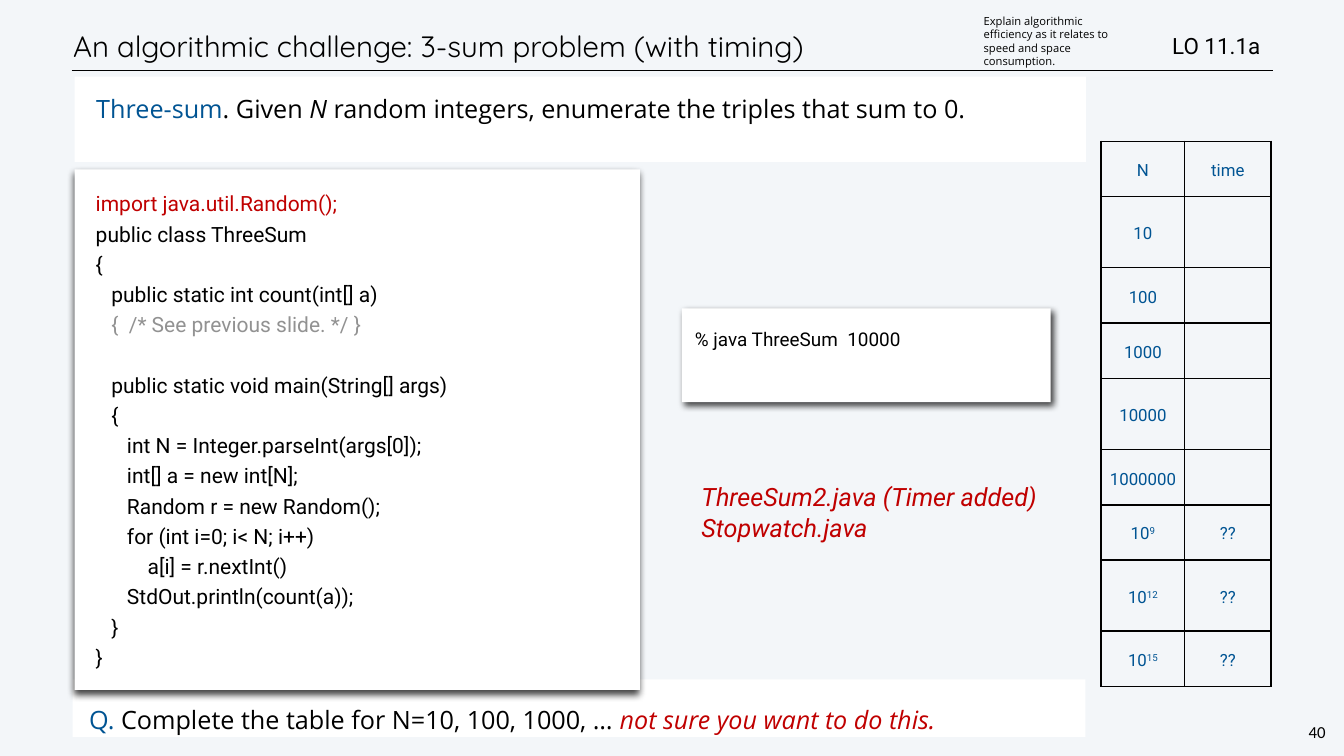
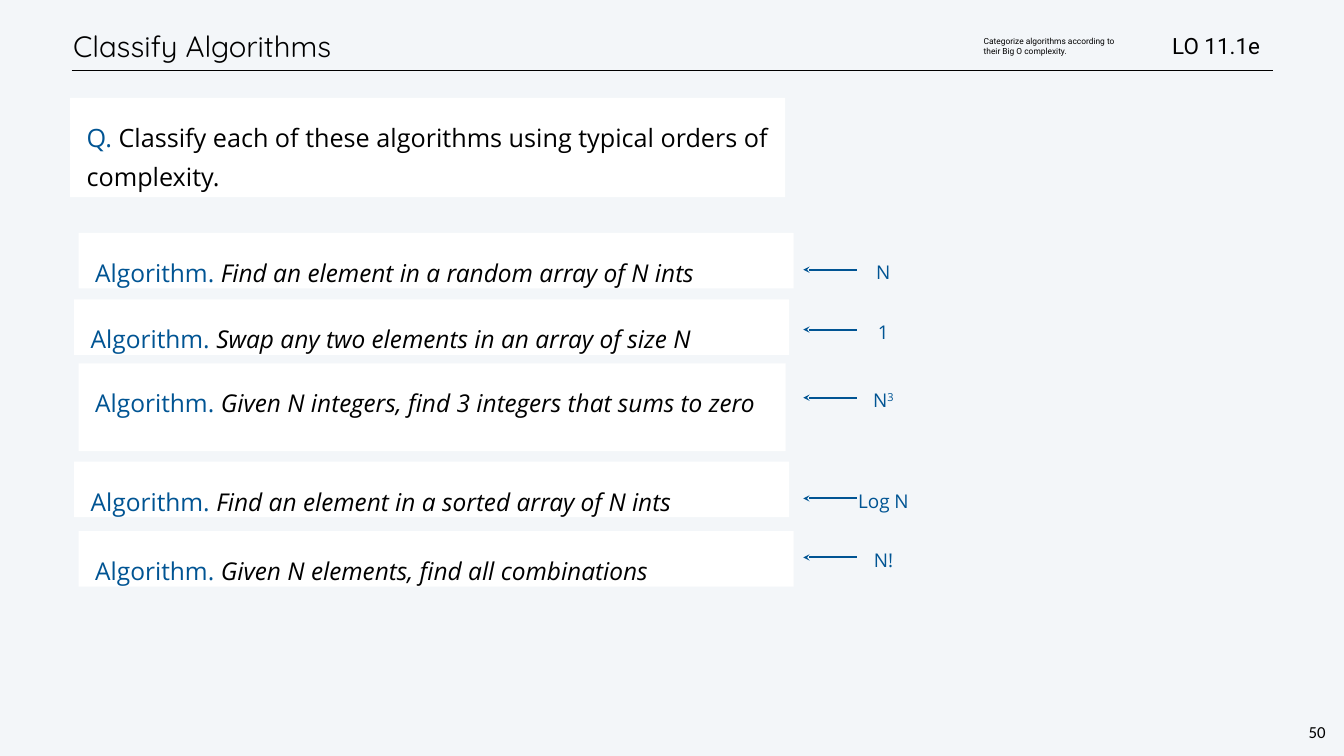
"""Build two computer science lesson slides on algorithmic efficiency."""
from dataclasses import dataclass
from typing import Any, NamedTuple, Optional

import lxml.etree
import pptx
import pptx.dml.color
import pptx.enum.shapes
import pptx.enum.text
import pptx.oxml
import pptx.oxml.ns
import pptx.util

EMU_PER_PX = 9144
COLOURS = {
    "page": "F3F6F9",
    "panel": "FFFFFF",
    "ink": "000000",
    "blue": "005493",
    "red": "C00000",
    "grey": "929292",
}
HEADING, PROSE, PLAIN, NUMBER = "Quicksand", "Open Sans", "Roboto", "Calibri"
ALIGN = pptx.enum.text.PP_ALIGN
ANCHOR = pptx.enum.text.MSO_ANCHOR
CODE_INDENT = 31
LABEL_CENTRE = 1748
LABEL_HEIGHT = 56


class Place(NamedTuple):
    left: int
    top: int
    width: int
    height: int


class Span(NamedTuple):
    text: str
    colour: str = "ink"
    italic: bool = False
    raised: bool = False


class Line(NamedTuple):
    spans: list[Span]
    indent: int = 0
    before: int = 0


class Shadow(NamedTuple):
    angle: int
    blur: int = 10
    distance: int = 6
    opacity: int = 75


@dataclass(frozen=True)
class Algorithm:
    place: Place
    task: str
    arrow_y: int
    label_width: int
    order: list[Span]


CODE = [
    Line([Span("import java.util.Random();", "red")]),
    Line([Span("public class ThreeSum")]),
    Line([Span("{")]),
    Line([Span("public static int count(int[] a)")], CODE_INDENT),
    Line([Span("{  /* See previous slide. */ }", "grey")], CODE_INDENT),
    Line([Span("public static void main(String[] args)")], CODE_INDENT, before=43),
    Line([Span("{")], CODE_INDENT),
    Line([Span("int N = Integer.parseInt(args[0]);")], 2 * CODE_INDENT),
    Line([Span("int[] a = new int[N];")], 2 * CODE_INDENT),
    Line([Span("Random r = new Random();")], 2 * CODE_INDENT),
    Line([Span("for (int i=0; i< N; i++)")], 2 * CODE_INDENT),
    Line([Span("a[i] = r.nextInt()")], 103),
    Line([Span("StdOut.println(count(a));")], 2 * CODE_INDENT),
    Line([Span("}")], CODE_INDENT),
    Line([Span("}")]),
]

TIMING_TABLES = [
    (280, [("N", "", "time"), ("10", "", ""), ("100", "", "")]),
    (641, [("1000", "", ""), ("10000", "", ""), ("1000000", "", "")]),
    (1001, [("10", "9", "??"), ("10", "12", "??"), ("10", "15", "??")]),
]

ALGORITHMS = [
    Algorithm(Place(156, 462, 1419, 110), "Find an element in a random array of N ints",
              535, 58, [Span("N", "blue")]),
    Algorithm(Place(147, 594, 1419, 110), "Swap any two elements in an array of size N",
              654, 53, [Span("1", "blue")]),
    Algorithm(Place(156, 721, 1403, 174), "Given N integers, find 3 integers that sums to zero",
              789, 73, [Span("N", "blue"), Span("3", "blue", raised=True)]),
    Algorithm(Place(147, 916, 1419, 110), "Find an element in a sorted array of N ints",
              989, 137, [Span("Log N", "blue")]),
    Algorithm(Place(156, 1054, 1419, 110), "Given N elements, find all combinations",
              1106, 69, [Span("N!", "blue")]),
]


def px(length: int) -> pptx.util.Emu:
    """Turn px into EMU."""
    return pptx.util.Emu(length * EMU_PER_PX)


def emu(place: Place) -> list[pptx.util.Emu]:
    """Turn a place into four EMU lengths."""
    return [px(length) for length in place]


def rgb(colour: str) -> pptx.dml.color.RGBColor:
    """Look up a named colour."""
    return pptx.dml.color.RGBColor.from_string(COLOURS[colour])


def child(parent: Any, tag: str, **attributes: Any) -> Any:
    """Append a DrawingML element."""
    values = {name: str(value) for name, value in attributes.items()}
    return lxml.etree.SubElement(parent, pptx.oxml.ns.qn(tag), values)


def write(frame: Any, lines: list[Line], *, size: int, font: str,
          align: Any = ALIGN.LEFT, spacing: Optional[float] = None,
          before: int = 0, margin: int = 0, first: int = 0) -> None:
    """Fill a text frame with formatted lines."""
    for index, line in enumerate(lines):
        para = frame.add_paragraph() if index else frame.paragraphs[0]
        para.alignment = align
        para.line_spacing = spacing
        para.space_before = pptx.util.Pt(before + line.before)
        properties = para._p.get_or_add_pPr()
        properties.set("marL", str(px(margin + line.indent)))
        properties.set("indent", str(px(first)))
        child(properties, "a:buNone")
        for span in line.spans:
            run = para.add_run()
            run.text = span.text
            run.font.name = font
            run.font.size = pptx.util.Pt(size)
            run.font.italic = span.italic
            run.font.color.rgb = rgb(span.colour)
            if span.raised:
                run._r.get_or_add_rPr().set("baseline", "30000")


def set_frame(frame: Any, *, inset: int, anchor: Any = ANCHOR.TOP,
              wrap: bool = True, grow: bool = False) -> Any:
    """Set the layout of a text frame and return it."""
    sizes = pptx.enum.text.MSO_AUTO_SIZE
    frame.auto_size = sizes.SHAPE_TO_FIT_TEXT if grow else sizes.NONE
    frame.word_wrap = wrap
    frame.vertical_anchor = anchor
    frame.margin_left = frame.margin_right = px(inset)
    frame.margin_top = frame.margin_bottom = px(inset)
    return frame


def move(shape: Any, place: Place) -> None:
    """Put a placeholder at a place."""
    shape.left, shape.top, shape.width, shape.height = emu(place)


def fill_panel(shape: Any) -> None:
    """Paint a shape with the panel colour."""
    shape.fill.solid()
    shape.fill.fore_color.rgb = rgb("panel")


def add_panel(page: Any, place: Place, lines: list[Line], *, inset: int = 33,
              shadow: Optional[Shadow] = None, **text: Any) -> None:
    """Add a white rectangle holding text."""
    box = page.shapes.add_shape(pptx.enum.shapes.MSO_SHAPE.RECTANGLE, *emu(place))
    box.shadow.inherit = False
    fill_panel(box)
    box.line.fill.background()
    if shadow:
        effects = box._element.spPr.find(pptx.oxml.ns.qn("a:effectLst"))
        outer = child(effects, "a:outerShdw", blurRad=pptx.util.Pt(shadow.blur),
                      dist=pptx.util.Pt(shadow.distance), dir=shadow.angle * 60000,
                      algn="ctr", rotWithShape=0)
        tint = child(outer, "a:srgbClr", val=COLOURS["ink"])
        child(tint, "a:alpha", val=shadow.opacity * 1000)
    write(set_frame(box.text_frame, inset=inset), lines, **text)


def add_label(page: Any, place: Place, lines: list[Line], *, inset: int = 6,
              anchor: Any = ANCHOR.MIDDLE, wrap: bool = True, **text: Any) -> None:
    """Add a plain text box."""
    box = page.shapes.add_textbox(*emu(place))
    frame = set_frame(box.text_frame, inset=inset, anchor=anchor, wrap=wrap, grow=True)
    write(frame, lines, **text)


def add_rule(page: Any, left: int, right: int, y: int, *, colour: str,
             weight: int, arrow: bool = False) -> None:
    """Add a horizontal line, with an optional arrowhead on its left."""
    rule = page.shapes.add_connector(pptx.enum.shapes.MSO_CONNECTOR.STRAIGHT,
                                     px(left), px(y), px(right), px(y))
    rule.line.color.rgb = rgb(colour)
    rule.line.width = pptx.util.Pt(weight)
    if arrow:
        child(rule.line._get_or_add_ln(), "a:headEnd", type="stealth")
    child(rule._element.spPr, "a:effectLst")


def add_page(deck: Any, layout: int, title: str, number: str, goal: str) -> Any:
    """Add a slide with its title, rule, learning goal and number."""
    page = deck.slides.add_slide(deck.slide_layouts[layout])
    move(page.shapes.title, Place(139, 42, 2262, 99))
    frame = set_frame(page.shapes.title.text_frame, inset=6, anchor=ANCHOR.MIDDLE)
    write(frame, [Line([Span(title)])], size=42, font=HEADING,
          spacing=pptx.util.Pt(50), before=3)
    add_rule(page, 142, 2527, 140, colour="ink", weight=1)
    add_label(page, Place(2592, 1429, 43, 47), [Line([Span(number)])], inset=4,
              anchor=ANCHOR.TOP, wrap=False, size=24, font=NUMBER,
              align=ALIGN.CENTER, spacing=pptx.util.Pt(28))
    add_label(page, Place(2320, 58, 299, 65), [Line([Span(goal)])], size=32, font=PLAIN)
    return page


def add_timing_table(page: Any, top: int, rows: list[tuple[str, str, str]]) -> None:
    """Add one block of the timing grid."""
    grid = page.shapes.add_table(len(rows), 2, *emu(Place(2185, top, 337, 361))).table
    grid.first_row = grid.horz_banding = False
    for column, width in zip(grid.columns, (166, 171)):
        column.width = px(width)
    for row, height, (base, power, time) in zip(grid.rows, (110, 141, 110), rows):
        row.height = px(height)
        contents = ([Span(base, "blue"), Span(power, "blue", raised=True)], [Span(time, "blue")])
        for cell, spans in zip(row.cells, contents):
            properties = cell._tc.get_or_add_tcPr()
            for side in ("a:lnL", "a:lnR", "a:lnT", "a:lnB"):
                border = child(properties, side, w=pptx.util.Pt(2))
                child(child(border, "a:solidFill"), "a:srgbClr", val=COLOURS["ink"])
            cell.fill.background()
            cell.vertical_anchor = ANCHOR.MIDDLE
            cell.margin_left = cell.margin_right = px(4)
            cell.margin_top = cell.margin_bottom = px(4)
            shown = [span for span in spans if span.text]
            if shown:
                write(cell.text_frame, [Line(shown)], size=24, font=PLAIN,
                      align=ALIGN.CENTER, spacing=pptx.util.Pt(34))


def build_three_sum(deck: Any) -> None:
    """Build the three-sum timing slide."""
    page = add_page(deck, 1, "An algorithmic challenge: 3-sum problem (with timing)",
                    "40", "LO 11.1a")
    body = page.placeholders[1]
    move(body, Place(148, 152, 2007, 169))
    fill_panel(body)
    problem = [Span("Three-sum", "blue"), Span(". Given "), Span("N ", italic=True),
               Span("random integers, enumerate the triples that sum to 0.")]
    write(set_frame(body.text_frame, inset=33), [Line(problem)], size=36, font=PROSE,
          spacing=pptx.util.Pt(43), before=18, first=10)
    question = [Span("Q. ", "blue"), Span("Complete the table for N=10, 100, 1000, … "),
                Span("not sure you want to do this.", "red", italic=True)]
    add_panel(page, Place(144, 1348, 2010, 114), [Line(question)], size=36, font=PROSE,
              spacing=pptx.util.Pt(55), before=12)
    add_panel(page, Place(148, 336, 1122, 1033), CODE, shadow=Shadow(90), size=30,
              font=PLAIN, spacing=1.2, margin=9)
    add_panel(page, Place(1353, 612, 732, 186), [Line([Span("% java ThreeSum  10000")])],
              inset=25, shadow=Shadow(45), size=27, font=PLAIN, spacing=1.3, margin=1)
    for top, rows in TIMING_TABLES:
        add_timing_table(page, top, rows)
    goal = "Explain algorithmic efficiency as it relates to speed and space consumption."
    add_label(page, Place(1946, 25, 299, 112), [Line([Span(goal)])], size=16, font=PROSE)
    files = ("ThreeSum2.java (Timer added)", "Stopwatch.java")
    add_label(page, Place(1386, 950, 736, 254),
              [Line([Span(name, "red", italic=True)]) for name in files],
              inset=6, anchor=ANCHOR.TOP, size=36, font=PLAIN)


def build_classify(deck: Any) -> None:
    """Build the slide that classifies algorithms."""
    page = add_page(deck, 5, "Classify Algorithms", "50", "LO 11.1e")
    question = [Span("Q. ", "blue"),
                Span("Classify each of these algorithms using typical orders of complexity.")]
    add_panel(page, Place(139, 194, 1419, 197), [Line(question)], size=36, font=PROSE,
              spacing=pptx.util.Pt(55), before=6)
    for item in ALGORITHMS:
        task = [Span("Algorithm. ", "blue"), Span(item.task, italic=True)]
        add_panel(page, item.place, [Line(task)], size=35, font=PROSE,
                  spacing=pptx.util.Pt(54), before=6)
        place = Place(LABEL_CENTRE - item.label_width // 2,
                      item.arrow_y - LABEL_HEIGHT // 2, item.label_width, LABEL_HEIGHT)
        add_label(page, place, [Line(item.order)], anchor=ANCHOR.TOP, wrap=False, size=27,
                  font=PROSE, align=ALIGN.CENTER, spacing=pptx.util.Pt(35), before=2, margin=9)
        add_rule(page, 1594, 1700, item.arrow_y, colour="blue", weight=3, arrow=True)
    goal = "Categorize algorithms according to their Big O complexity."
    add_label(page, Place(1946, 65, 299, 52), [Line([Span(goal)])], size=12, font=PLAIN)


def main() -> None:
    """Build and save the deck."""
    deck = pptx.Presentation()
    deck.slide_width, deck.slide_height = px(2667), px(1500)
    backdrop = deck.slide_master.background.fill
    backdrop.solid()
    backdrop.fore_color.rgb = rgb("page")
    build_three_sum(deck)
    build_classify(deck)
    deck.save("out.pptx")


if __name__ == "__main__":
    main()
